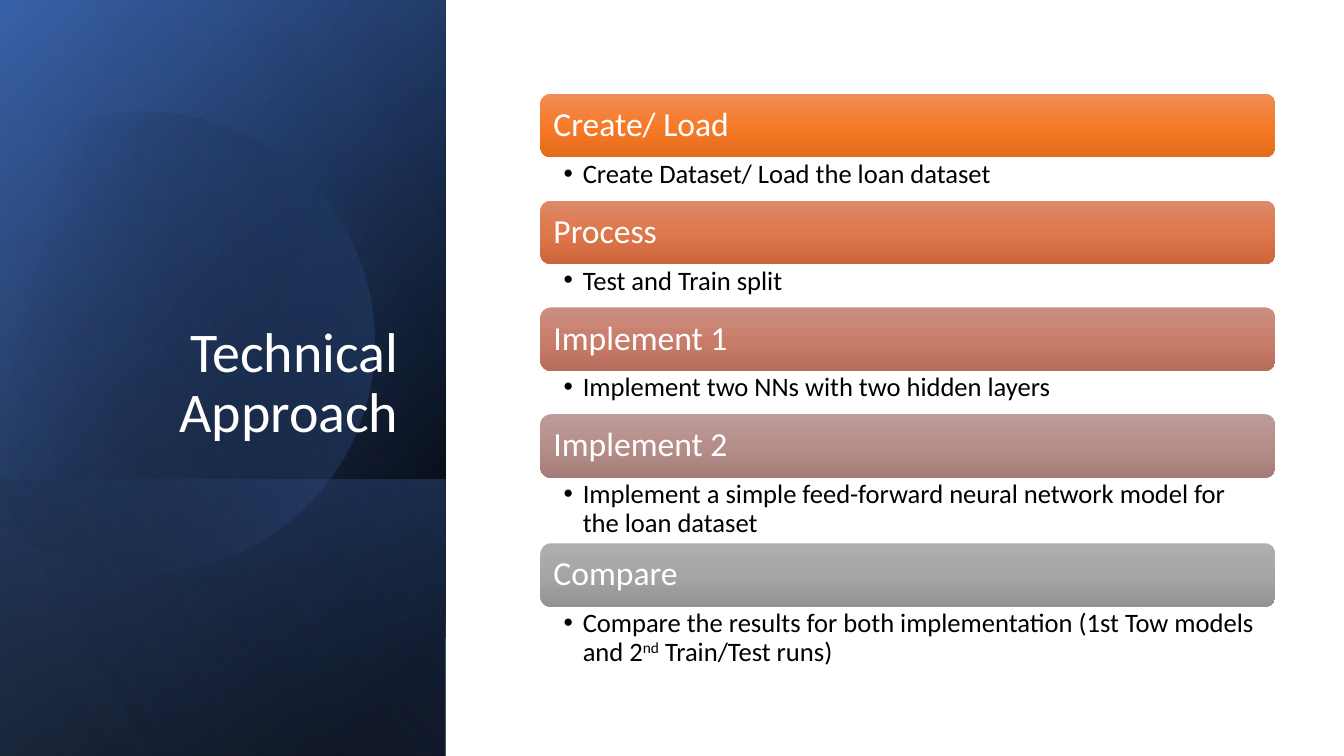
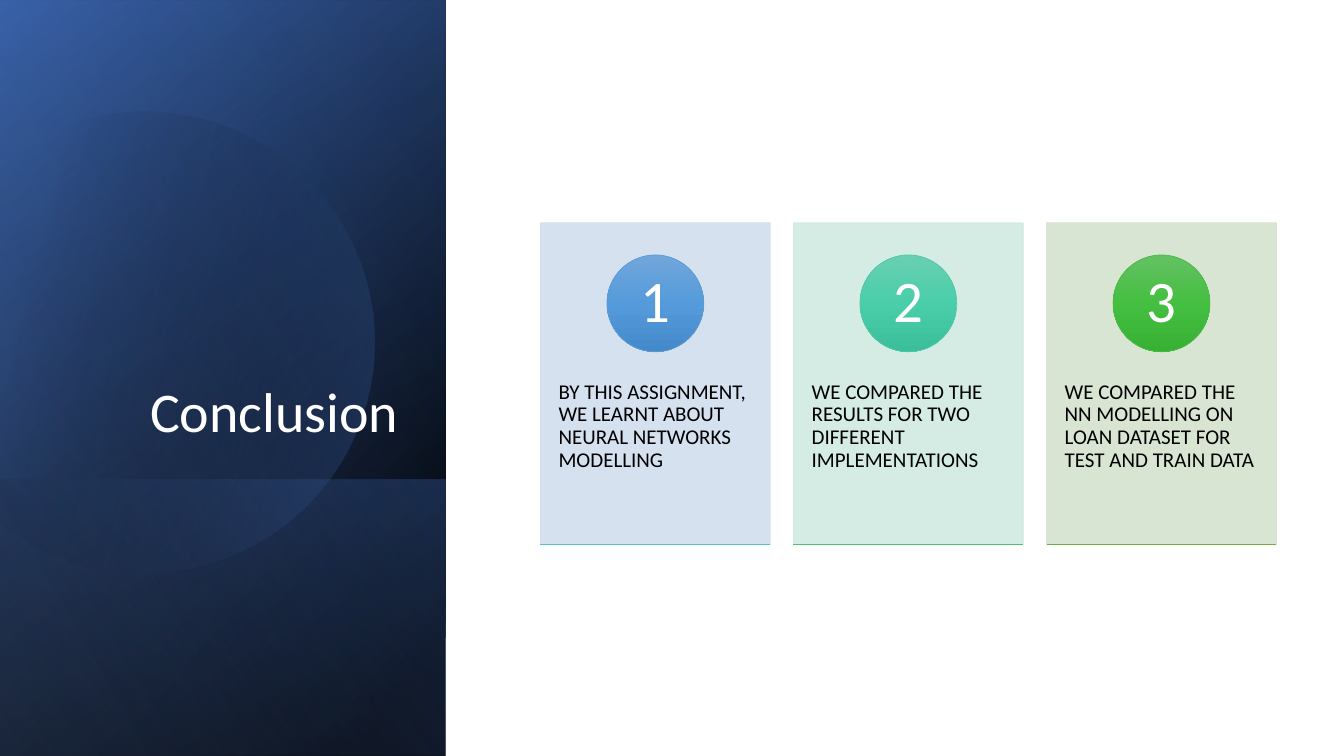
"""Build the technical approach and conclusion slides."""
from dataclasses import dataclass
from math import cos, radians, sin

from lxml.etree import SubElement
from pptx import Presentation
from pptx.dml.color import RGBColor
from pptx.enum.shapes import MSO_CONNECTOR, MSO_SHAPE as SHAPE
from pptx.enum.text import MSO_ANCHOR as ANCHOR, PP_ALIGN as ALIGN
from pptx.oxml import parse_xml
from pptx.oxml.ns import nsdecls, qn
from pptx.util import Inches, Pt


@dataclass(frozen=True)
class Theme:
    font: str = "Calibri"
    white: str = "FFFFFF"
    black: str = "000000"
    blue: str = "4472C4"
    navy: str = "2F5597"
    pale: str = "8FAADC"
    title: int = 40
    number: int = 42
    heading: int = 24
    detail: int = 19
    card: int = 15
    hairline: float = 0.5


T = Theme()

PANEL_BANDS = [
    ((-1.54, 1.54, 7.5, 4.42), 50, [(8, T.black, 100), (100, T.navy, 100)]),
    ((-1.54, 1.55, 7.5, 4.42), 30, [(0, T.black, 0), (99, T.blue, 46)]),
    ((0.84, 3.92, 2.74, 4.42), 130, [(2, T.blue, 29), (100, T.black, 30)]),
]
PANEL_SHEEN = ((-1.54, 1.54, 7.5, 4.42), 120, [(0, T.black, 0), (99, T.pale, 11)])
DISC = dict(center=(1.42, 3.35), radius=2.29, start=-117.5, end=149.7, tilt=-16.1)
DISC_STOPS = [(29, T.black, 0), (100, T.blue, 43)]

STEPS = [
    ("Create/ Load", ["Create Dataset/ Load the loan dataset"], 1,
     ("F18C57", "F67B28", "E56C19")),
    ("Process", ["Test and Train split"], 1, ("DD8A6A", "DE774B", "CD673B")),
    ("Implement 1", ["Implement two NNs with two hidden layers"], 1,
     ("CB8F81", "C97E6B", "B76D5B")),
    ("Implement 2",
     ["Implement a simple feed-forward neural network model for the loan dataset"], 2,
     ("BC9C99", "B68E89", "A47C78")),
    ("Compare",
     ["Compare the results for both implementation (1st Tow models and 2", "^nd",
      " Train/Test runs)"], 2, ("AFAFAF", "A5A5A5", "939393")),
]
STEP_LEFT, STEP_TOP, STEP_WIDTH, BAR_HEIGHT = 5.36, 0.93, 7.29, 0.63
DETAIL_HEIGHT = {1: 0.43, 2: 0.65}

CARDS = [
    ("BY THIS ASSIGNMENT, WE LEARNT ABOUT NEURAL NETWORKS MODELLING",
     "D2DEEF", ("71A6DB", "559BDB", "448ACA"), "5B9BD5", "55C3CF"),
    ("WE COMPARED THE RESULTS FOR TWO DIFFERENT IMPLEMENTATIONS",
     "D0EAE1", ("69CFB1", "4ACEAA", "3BBE9A"), "50C8A7", "4BC174"),
    ("WE COMPARED THE NN MODELLING ON LOAN DATASET FOR TEST AND TRAIN DATA",
     "D5E3CF", ("64C162", "44BF41", "37B034"), "4ABA46", "70AD47"),
]
CARD_LEFT, CARD_TOP, CARD_WIDTH, CARD_HEIGHT = 5.36, 2.21, 2.28, 3.19
CARD_PITCH, BADGE, BADGE_DROP = 2.51, 0.96, 0.32


def rgb(value):
    return RGBColor.from_string(value)


def box(at):
    return [Inches(v) for v in at]


def set_gradient(sp, angle, stops):
    gs = "".join(
        f'<a:gs pos="{pos * 1000}"><a:srgbClr val="{color}">'
        f'<a:alpha val="{alpha * 1000}"/></a:srgbClr></a:gs>'
        for pos, color, alpha in stops)
    grad = parse_xml(
        f'<a:gradFill {nsdecls("a")} rotWithShape="1"><a:gsLst>{gs}</a:gsLst>'
        f'<a:lin ang="{angle * 60000}" scaled="0"/></a:gradFill>')
    sp.fill.background()
    props = sp._element.spPr
    props.replace(props.find(qn("a:noFill")), grad)


def shade(sp, colors):
    set_gradient(sp, 90, [(pos, c, 100) for pos, c in zip((0, 50, 100), colors)])


def set_line(sp, color):
    sp.line.color.rgb = rgb(color)
    sp.line.width = Pt(T.hairline)


def add_shape(slide, kind, at):
    sp = slide.shapes.add_shape(kind, *box(at))
    sp.shadow.inherit = False
    sp.line.fill.background()
    return sp


def write(sp, runs, size, color, insets, anchor=ANCHOR.TOP, align=ALIGN.LEFT, wrap=True):
    """Fill the text frame; a run that starts with ^ is superscript."""
    tf = sp.text_frame
    tf.word_wrap = wrap
    tf.vertical_anchor = anchor
    tf.margin_left, tf.margin_top, tf.margin_right, tf.margin_bottom = box(insets)
    p = tf.paragraphs[0]
    p.alignment = align
    p.line_spacing = 0.9
    for text in runs:
        r = p.add_run()
        r.text = text.lstrip("^")
        r.font.name, r.font.size = T.font, Pt(size)
        r.font.color.rgb = rgb(color)
        if text.startswith("^"):
            r.font._element.set("baseline", "30000")
    return p


def add_bullet(p):
    pr = p._p.get_or_add_pPr()
    pr.set("marL", str(Inches(0.19)))
    pr.set("indent", str(-Inches(0.19)))
    SubElement(pr, qn("a:buFont")).set("typeface", "Arial")
    SubElement(pr, qn("a:buChar")).set("char", "•")


def add_band(slide, at, angle, stops):
    sp = add_shape(slide, SHAPE.RECTANGLE, at)
    sp._element.spPr.find(qn("a:xfrm")).set("flipH", "1")
    sp.rotation = 90
    set_gradient(sp, angle, stops)


def add_disc(slide, center, radius, start, end, tilt, steps=120):
    angles = [radians(start + (end - start) * i / steps) for i in range(steps + 1)]
    points = [(Inches(center[0] + radius * cos(a)), Inches(center[1] + radius * sin(a)))
              for a in angles]
    builder = slide.shapes.build_freeform(*points[0])
    builder.add_line_segments(points[1:], close=True)
    sp = builder.convert_to_shape()
    sp.shadow.inherit = False
    sp.line.fill.background()
    sp.rotation = tilt
    set_gradient(sp, 30, DISC_STOPS)


def add_titled_slide(prs, title):
    slide = prs.slides.add_slide(prs.slide_layouts[6])
    for band in PANEL_BANDS:
        add_band(slide, *band)
    add_disc(slide, **DISC)
    add_band(slide, *PANEL_SHEEN)
    tb = slide.shapes.add_textbox(*box((0.64, 1.84, 3.41, 2.62)))
    write(tb, [title], T.title, T.white, (0.1, 0.05, 0.1, 0.05), ANCHOR.BOTTOM, ALIGN.RIGHT)
    return slide


def add_steps(slide):
    top = STEP_TOP
    for heading, detail, lines, colors in STEPS:
        bar = add_shape(slide, SHAPE.ROUNDED_RECTANGLE,
                        (STEP_LEFT, top, STEP_WIDTH, BAR_HEIGHT))
        shade(bar, colors)
        write(bar, [heading], T.heading, T.white, (0.1, 0.1, 0.1, 0.1), ANCHOR.MIDDLE)
        top += BAR_HEIGHT
        tb = slide.shapes.add_textbox(*box((STEP_LEFT, top, STEP_WIDTH, DETAIL_HEIGHT[lines])))
        add_bullet(write(tb, detail, T.detail, T.black, (0.23, 0.03, 0.19, 0.03)))
        top += DETAIL_HEIGHT[lines]


def add_cards(slide):
    bottom = CARD_TOP + CARD_HEIGHT
    for i, (text, tint, colors, edge, rule) in enumerate(CARDS):
        left = CARD_LEFT + i * CARD_PITCH
        card = add_shape(slide, SHAPE.RECTANGLE, (left, CARD_TOP, CARD_WIDTH, CARD_HEIGHT))
        card.fill.solid()
        card.fill.fore_color.rgb = rgb(tint)
        set_line(card, tint)
        for color in list(card._element.spPr.iter(qn("a:srgbClr"))):
            SubElement(color, qn("a:alpha")).set("val", "90000")
        write(card, [text], T.card, T.black, (0.18, 1.57, 0.18, 0.36))

        badge = add_shape(slide, SHAPE.OVAL, (left + (CARD_WIDTH - BADGE) / 2,
                                              CARD_TOP + BADGE_DROP, BADGE, BADGE))
        shade(badge, colors)
        set_line(badge, edge)
        write(badge, [str(i + 1)], T.number, T.white, (0, 0, 0, 0),
              ANCHOR.MIDDLE, ALIGN.CENTER, wrap=False)

        line = slide.shapes.add_connector(
            MSO_CONNECTOR.STRAIGHT, *box((left, bottom, left + CARD_WIDTH, bottom)))
        set_line(line, rule)
        SubElement(line._element.spPr, qn("a:effectLst"))


def main():
    prs = Presentation()
    prs.slide_width, prs.slide_height = Inches(13.33), Inches(7.5)
    add_steps(add_titled_slide(prs, "Technical Approach"))
    add_cards(add_titled_slide(prs, "Conclusion"))
    prs.save("out.pptx")


if __name__ == "__main__":
    main()
